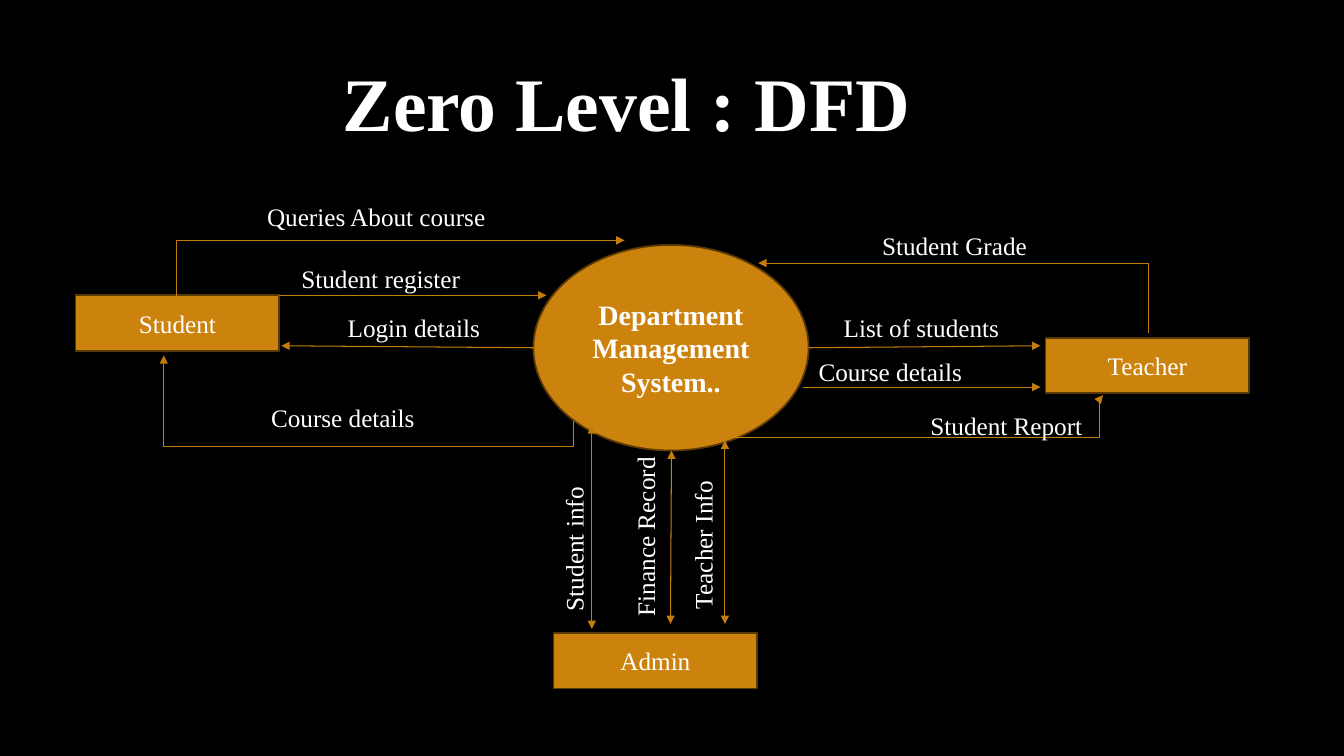
import pptx
import pptx.util
from lxml import etree
from pptx.dml.color import RGBColor
from pptx.enum.shapes import MSO_CONNECTOR, MSO_SHAPE
from pptx.enum.text import MSO_ANCHOR, MSO_AUTO_SIZE, PP_ALIGN
from pptx.oxml.ns import qn
from pptx.util import Inches

BLACK = RGBColor(0x00, 0x00, 0x00)
WHITE = RGBColor(0xFF, 0xFF, 0xFF)
AMBER = RGBColor(0xCC, 0x83, 0x0E)
BROWN = RGBColor(0x59, 0x39, 0x06)
ARROW = RGBColor(0xC3, 0x7D, 0x0D)
FONT = "Times New Roman"


def write(frame, text, size=18, bold=False, align=PP_ALIGN.LEFT, anchor=MSO_ANCHOR.TOP):
    """Fill a text frame, one paragraph for each line of text."""
    frame.word_wrap = True
    frame.vertical_anchor = anchor
    for index, line in enumerate(text.split("\n")):
        para = frame.add_paragraph() if index else frame.paragraphs[0]
        para.alignment = align
        span = para.add_run()
        span.text = line
        span.font.name = FONT
        span.font.size = pptx.util.Pt(size)
        span.font.bold = bold
        span.font.color.rgb = WHITE


class Diagram:
    def __init__(self, slide):
        self.slide = slide
        slide.background.fill.solid()
        slide.background.fill.fore_color.rgb = BLACK

    def title(self, text, left, top, width, height):
        box = self.slide.shapes.title
        box.left, box.top = Inches(left), Inches(top)
        box.width, box.height = Inches(width), Inches(height)
        box.text_frame.auto_size = MSO_AUTO_SIZE.NONE
        write(box.text_frame, text, size=54, bold=True, align=PP_ALIGN.CENTER)

    def node(self, text, left, top, width=2.02, height=0.55, kind=MSO_SHAPE.RECTANGLE, **style):
        shape = self.slide.shapes.add_shape(
            kind, Inches(left), Inches(top), Inches(width), Inches(height))
        shape.shadow.inherit = False
        shape.fill.solid()
        shape.fill.fore_color.rgb = AMBER
        shape.line.color.rgb = BROWN
        shape.line.width = pptx.util.Pt(1.25)
        write(shape.text_frame, text, align=PP_ALIGN.CENTER, anchor=MSO_ANCHOR.MIDDLE, **style)

    def label(self, text, left, top, width, rotation=0):
        box = self.slide.shapes.add_textbox(
            Inches(left), Inches(top), Inches(width), Inches(0.4))
        box.rotation = rotation
        write(box.text_frame, text)

    def arrow(self, start, end, both_ends=False, kind=MSO_CONNECTOR.STRAIGHT):
        line = self.slide.shapes.add_connector(
            kind, *(Inches(length) for length in (*start, *end)))
        line.line.color.rgb = ARROW
        line.line.width = pptx.util.Pt(0.75)
        outline = line.line._get_or_add_ln()
        for tag in ("a:headEnd", "a:tailEnd") if both_ends else ("a:tailEnd",):
            etree.SubElement(outline, qn(tag), type="triangle")
        etree.SubElement(line._element.spPr, qn("a:effectLst"))
        return line

    def elbow(self, start, end, preset, rotation=0, adjustments=()):
        """Draw a bent arrow; start and end are its corners before rotation."""
        properties = self.arrow(start, end, kind=MSO_CONNECTOR.ELBOW)._element.spPr
        properties.find(qn("a:xfrm")).set("rot", str(rotation * 60000))
        geometry = properties.find(qn("a:prstGeom"))
        geometry.set("prst", preset)
        guides = geometry.find(qn("a:avLst"))
        for number, share in enumerate(adjustments, 1):
            etree.SubElement(guides, qn("a:gd"), name=f"adj{number}",
                             fmla=f"val {round(share * 100000)}")


def main():
    deck = pptx.Presentation()
    deck.slide_width, deck.slide_height = Inches(13.33), Inches(7.5)
    diagram = Diagram(deck.slides.add_slide(deck.slide_layouts[5]))

    diagram.title("Zero Level : DFD", 1.76, 0.5, 8.91, 1.01)
    diagram.node("Department\nManagement\nSystem..", 5.29, 2.43, 2.73, 2.04,
                 kind=MSO_SHAPE.OVAL, size=20, bold=True)
    for name, left, top in (("Teacher", 10.37, 3.35), ("Student", 0.75, 2.93),
                            ("Admin", 5.49, 6.28)):
        diagram.node(name, left, top)

    for start, end in (((2.77, 2.93), (5.42, 2.93)), ((5.29, 3.45), (2.79, 3.43)),
                       ((8.02, 3.45), (10.32, 3.43)), ((7.96, 3.84), (10.32, 3.84))):
        diagram.arrow(start, end)
    for start, end in (((5.87, 4.22), (5.87, 6.24)), ((6.66, 4.47), (6.65, 6.19)),
                       ((7.19, 4.37), (7.19, 6.19))):
        diagram.arrow(start, end, both_ends=True)

    diagram.elbow((3.98, 1.82), (3.33, 5.88), "bentConnector4", 90, (-0.39, 1))
    diagram.elbow((4.25, 4.88), (3.7, 0.44), "bentConnector2", 90)
    diagram.elbow((9.11, 4.89), (9.8, 1.02), "bentConnector2", 270)
    diagram.elbow((7.19, 4.34), (10.94, 3.92), "bentConnector3", 0, (0.99,))

    for text, left, top, width in (
            ("Queries About course", 2.55, 1.95, 3.32),
            ("Student register", 2.89, 2.56, 3.45),
            ("Login details", 3.35, 3.05, 3.11),
            ("Course details", 2.59, 3.94, 3.28),
            ("Student Grade", 8.65, 2.24, 3.19),
            ("List of students", 8.27, 3.05, 2.04),
            ("Course details", 8.02, 3.49, 2.97),
            ("Student Report", 9.13, 4.02, 3.45)):
        diagram.label(text, left, top, width)
    for text, left, top, width in (("Student info", 3.83, 4.1, 3.72),
                                   ("Finance Record", 4.4, 4.01, 4),
                                   ("Teacher Info", 5.77, 4.74, 2.4)):
        diagram.label(text, left, top, width, rotation=270)

    deck.save("out.pptx")


if __name__ == "__main__":
    main()
